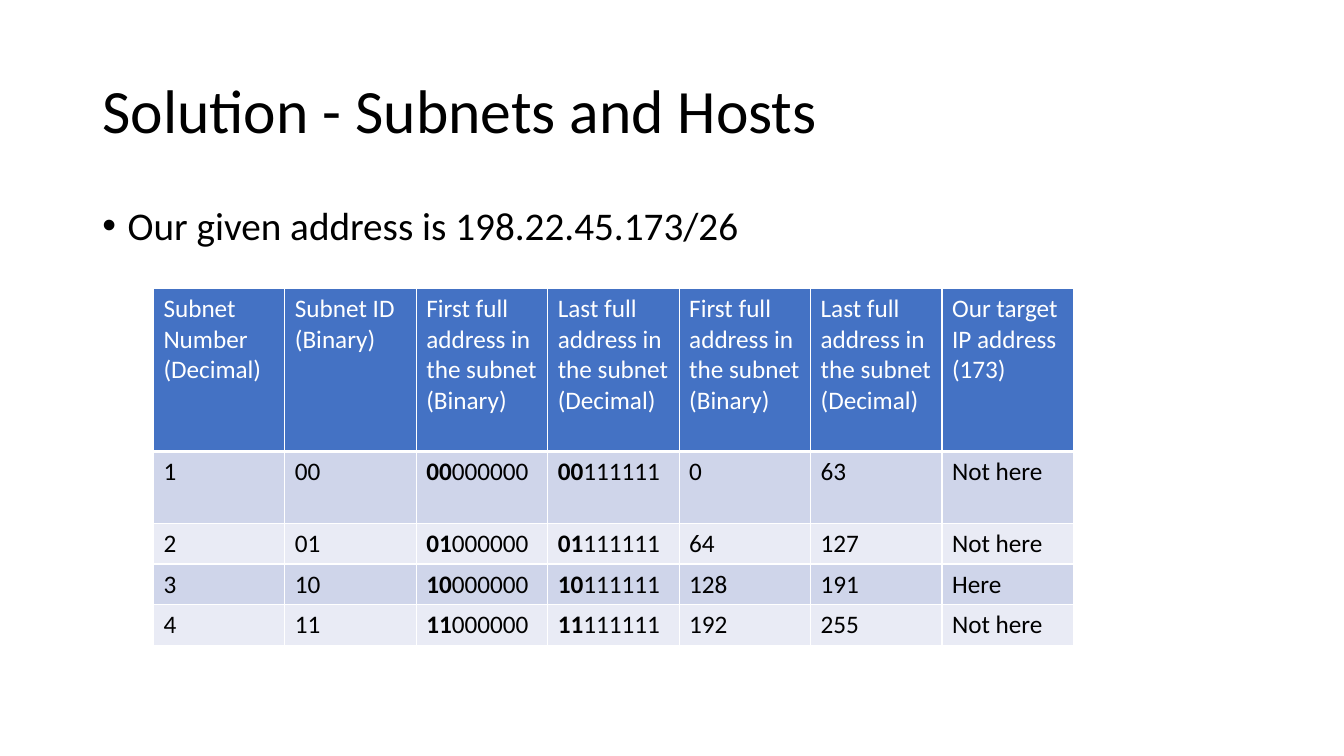
from lxml.etree import SubElement
from pptx import Presentation
from pptx.dml.color import RGBColor
from pptx.enum.text import MSO_ANCHOR as Anchor, MSO_AUTO_SIZE as AutoSize, PP_ALIGN as Align
from pptx.oxml.ns import qn
from pptx.util import Pt

BLACK = RGBColor(0x00, 0x00, 0x00)
WHITE = RGBColor(0xFF, 0xFF, 0xFF)
BLUE = RGBColor(0x44, 0x72, 0xC4)
BAND_DARK = RGBColor(0xCF, 0xD5, 0xEA)
BAND_LIGHT = RGBColor(0xE9, 0xEB, 0xF5)

HEADERS = [
    "Subnet Number (Decimal)",
    "Subnet ID (Binary)",
    "First full address in the subnet (Binary)",
    "Last full address in the subnet (Decimal)",
    "First full address in the subnet (Binary)",
    "Last full address in the subnet (Decimal)",
    "Our target IP address (173)",
]
HOST_BITS = 6
TARGET = 173


def subnet_row(n):
    """Cells of one subnet; a tuple holds a bold prefix and a plain rest."""
    size = 2 ** HOST_BITS
    first, last = n * size, (n + 1) * size - 1
    prefix = f"{n:02b}"
    place = "Here" if first <= TARGET <= last else "Not here"
    return [str(n + 1), prefix, (prefix, "0" * HOST_BITS),
            (prefix, "1" * HOST_BITS), str(first), str(last), place]


class Deck:
    font = "Calibri"

    def __init__(self, width, height):
        self.prs = Presentation()
        self.prs.slide_width, self.prs.slide_height = Pt(width), Pt(height)
        self.s = self.prs.slides.add_slide(self.prs.slide_layouts[1])

    def style(self, r, size, color, bold=False):
        r.font.name, r.font.size, r.font.bold = self.font, Pt(size), bold
        r.font.color.rgb = color

    def fill_placeholder(self, sp, box, text, size, anchor):
        sp.left, sp.top, sp.width, sp.height = map(Pt, box)
        tf = sp.text_frame
        tf.text = text
        tf.word_wrap, tf.auto_size = True, AutoSize.NONE
        tf.vertical_anchor = anchor
        p = tf.paragraphs[0]
        p.alignment, p.line_spacing = Align.LEFT, 0.9
        self.style(p.runs[0], size, BLACK)
        return p

    def title(self, box, text):
        self.fill_placeholder(self.s.shapes.title, box, text, 44, Anchor.MIDDLE)

    def bullet(self, box, text):
        p = self.fill_placeholder(self.s.placeholders[1], box, text, 28, Anchor.TOP)
        p.space_before = Pt(10)
        pPr = p._p.get_or_add_pPr()
        pPr.set("marL", str(Pt(18)))
        pPr.set("indent", str(Pt(-18)))
        SubElement(pPr, qn("a:buFont")).set("typeface", "Arial")
        SubElement(pPr, qn("a:buChar")).set("char", "•")

    def borders(self, cell, bottom):
        tcPr = cell._tc.get_or_add_tcPr()
        for side, width in zip("LRTB", (1, 1, 1, bottom)):
            ln = SubElement(tcPr, qn(f"a:ln{side}"), w=str(Pt(width)))
            fill = SubElement(ln, qn("a:solidFill"))
            SubElement(fill, qn("a:srgbClr"), val=str(WHITE))

    def cell(self, cell, content, fill, color, bottom):
        parts = content if isinstance(content, tuple) else (content,)
        p = cell.text_frame.paragraphs[0]
        p.text = parts[0]
        for part in parts[1:]:
            p.add_run().text = part
        for i, r in enumerate(p.runs):
            self.style(r, 18, color, bold=len(parts) > 1 and i == 0)
        self.borders(cell, bottom)
        cell.fill.solid()
        cell.fill.fore_color.rgb = fill

    def table(self, left, top, col_width, heights, rows):
        cols = len(rows[0])
        tbl = self.s.shapes.add_table(len(rows), cols, Pt(left), Pt(top),
                                      Pt(col_width * cols), Pt(sum(heights))).table
        for col in tbl.columns:
            col.width = Pt(col_width)
        for i, (row, height) in enumerate(zip(rows, heights)):
            tbl.rows[i].height = Pt(height)
            if i == 0:
                look = BLUE, WHITE, 3
            else:
                look = BAND_DARK if i % 2 else BAND_LIGHT, BLACK, 1
            for j, content in enumerate(row):
                self.cell(tbl.cell(i, j), content, *look)


def main():
    deck = Deck(960, 540)

    # Title and given address
    deck.title((66, 28.75, 828, 104.4), "Solution - Subnets and Hosts")
    deck.bullet((66, 143.75, 828, 342.6), "Our given address is 198.22.45.173/26")

    # Subnet table
    rows = [HEADERS] + [subnet_row(n) for n in range(4)]
    deck.table(109.6, 206, 93.9, [116.5, 51.2, 29.2, 29.2, 29.2], rows)

    deck.prs.save("out.pptx")


if __name__ == "__main__":
    main()
